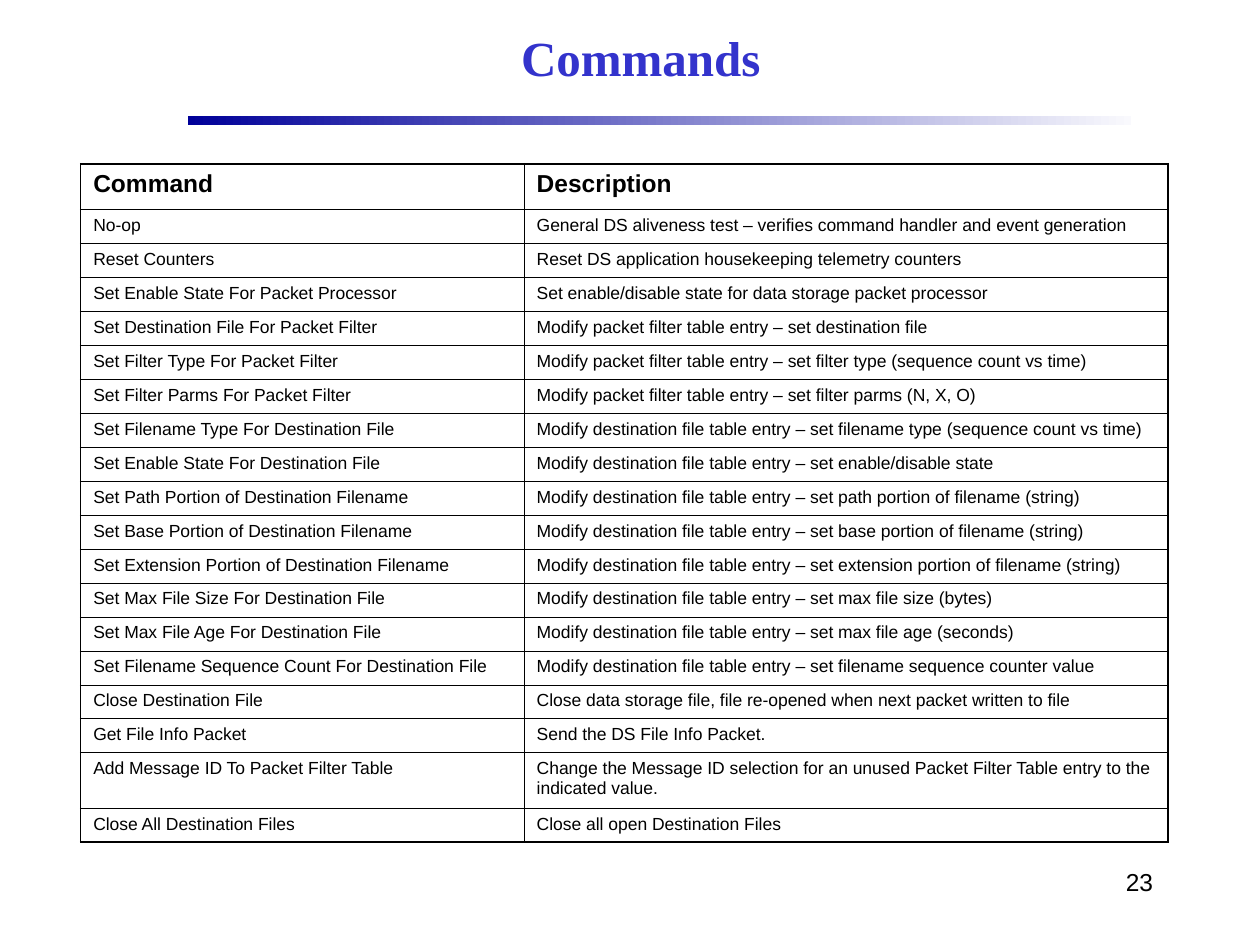
"""Build the Commands slide: a title, a fading rule and a command table."""
from pptx import Presentation
from pptx import util as u
from pptx.dml.color import RGBColor
from pptx.enum import shapes, text
from pptx.oxml import parse_xml
from pptx.oxml.ns import nsdecls

BLACK = RGBColor(0, 0, 0)
BLUE = RGBColor(0x33, 0x33, 0xCC)
NAVY = RGBColor(0, 0, 0x99)
PALE = RGBColor(0xF9, 0xF9, 0xFD)
THIN, THICK = 0.45, 1.08

TITLE = "Commands"
PAGE = "23"
FILTER = "Modify packet filter table entry – set "
DEST = "Modify destination file table entry – set "
ROWS = [
    ("Command", "Description"),
    ("No-op", "General DS aliveness test – verifies command handler and event generation"),
    ("Reset Counters", "Reset DS application housekeeping telemetry counters"),
    ("Set Enable State For Packet Processor",
     "Set enable/disable state for data storage packet processor"),
    ("Set Destination File For Packet Filter", FILTER + "destination file"),
    ("Set Filter Type For Packet Filter", FILTER + "filter type (sequence count vs time)"),
    ("Set Filter Parms For Packet Filter", FILTER + "filter parms (N, X, O)"),
    ("Set Filename Type For Destination File",
     DEST + "filename type (sequence count vs time)"),
    ("Set Enable State For Destination File", DEST + "enable/disable state"),
    ("Set Path Portion of Destination Filename",
     DEST + "path portion of filename (string)"),
    ("Set Base Portion of Destination Filename",
     DEST + "base portion of filename (string)"),
    ("Set Extension Portion of Destination Filename",
     DEST + "extension portion of filename (string)"),
    ("Set Max File Size For Destination File", DEST + "max file size (bytes)"),
    ("Set Max File Age For Destination File", DEST + "max file age (seconds)"),
    ("Set Filename Sequence Count For Destination File",
     DEST + "filename sequence counter value"),
    ("Close Destination File",
     "Close data storage file, file re-opened when next packet written to file"),
    ("Get File Info Packet", "Send the DS File Info Packet."),
    ("Add Message ID To Packet Filter Table",
     "Change the Message ID selection for an unused Packet Filter Table entry "
     "to the indicated value."),
    ("Close All Destination Files", "Close all open Destination Files"),
]
WIDTHS = (3.52, 5.11)
HEAD, LINE = 0.36, 0.27
TALL = {0: HEAD, 17: 0.44}


def box(*sides):
    return [u.Inches(side) for side in sides]


def write(frame, words, size, color=BLACK, font="Arial", bold=False, align=None):
    frame.text = words
    para = frame.paragraphs[0]
    para.alignment = align
    face = para.runs[0].font
    face.size, face.name, face.bold = u.Pt(size), font, bold
    face.color.rgb = color
    return para


def border(cell, edges):
    props = cell._tc.get_or_add_tcPr()
    for side, outer in zip("LRTB", edges):
        width = u.Pt(THICK if outer else THIN)
        props.append(parse_xml(
            f'<a:ln{side} {nsdecls("a")} w="{width}"><a:solidFill>'
            f'<a:srgbClr val="{BLACK}"/></a:solidFill></a:ln{side}>'))


def add_title(slide):
    title = slide.shapes.title
    title.left, title.top, title.width, title.height = box(1.5, 0.08, 7.17, 0.75)
    title.text_frame.vertical_anchor = text.MSO_ANCHOR.MIDDLE
    write(title.text_frame, TITLE, 28, BLUE, "Times New Roman", True, text.PP_ALIGN.CENTER)


def add_rule(slide):
    rule = slide.shapes.add_shape(shapes.MSO_SHAPE.RECTANGLE, *box(1.49, 0.92, 7.49, 0.07))
    rule.shadow.inherit = False
    rule.line.fill.background()
    rule.fill.gradient()
    rule.fill.gradient_angle = 0
    for stop, color in zip(rule.fill.gradient_stops, (NAVY, PALE)):
        stop.color.rgb = color


def add_page(slide):
    page = slide.shapes.add_textbox(*box(7.17, 6.83, 2.08, 0.5))
    page.text_frame.word_wrap = True
    write(page.text_frame, PAGE, 14, align=text.PP_ALIGN.RIGHT)


def add_grid(slide):
    high = [TALL.get(row, LINE) for row in range(len(ROWS))]
    grid = slide.shapes.add_table(
        len(ROWS), len(WIDTHS), *box(0.64, 1.3, sum(WIDTHS), sum(high))).table
    grid.first_row = grid.horz_banding = False
    for col, width in zip(grid.columns, WIDTHS):
        col.width = u.Inches(width)
    for r, (words, height) in enumerate(zip(ROWS, high)):
        grid.rows[r].height = u.Inches(height)
        head, last = r == 0, r == len(ROWS) - 1
        for c, word in enumerate(words):
            cell = grid.cell(r, c)
            para = write(cell.text_frame, word, 14 if head else 10, bold=head)
            para.space_before = u.Pt(6.1 if head else 4.4)
            border(cell, (c == 0, c == len(WIDTHS) - 1, head, last))
            cell.fill.background()


def main():
    deck = Presentation()
    deck.slide_width, deck.slide_height = box(10, 7.5)
    slide = deck.slides.add_slide(deck.slide_layouts[5])
    add_rule(slide)
    add_page(slide)
    add_title(slide)
    add_grid(slide)
    deck.save("out.pptx")


if __name__ == "__main__":
    main()
